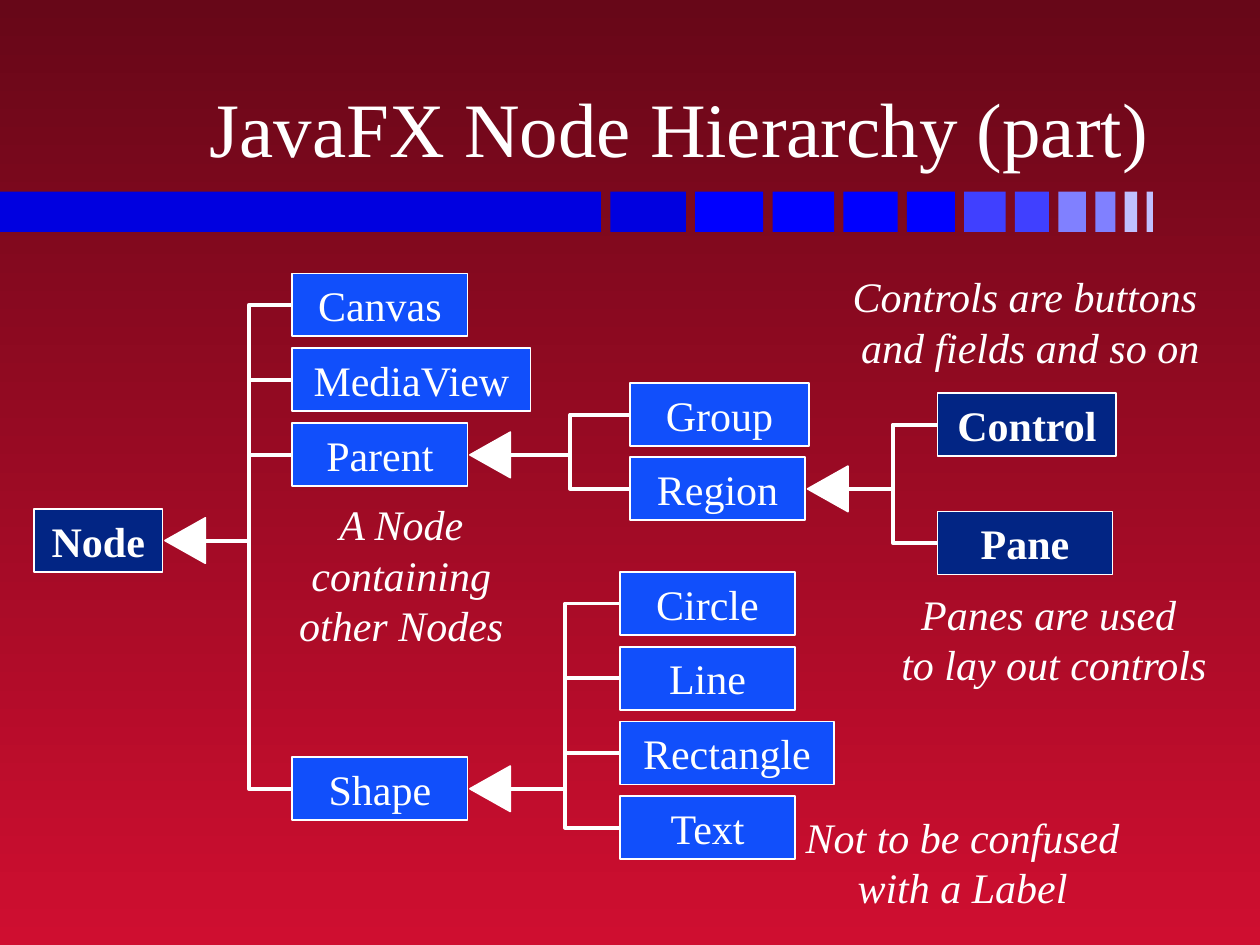
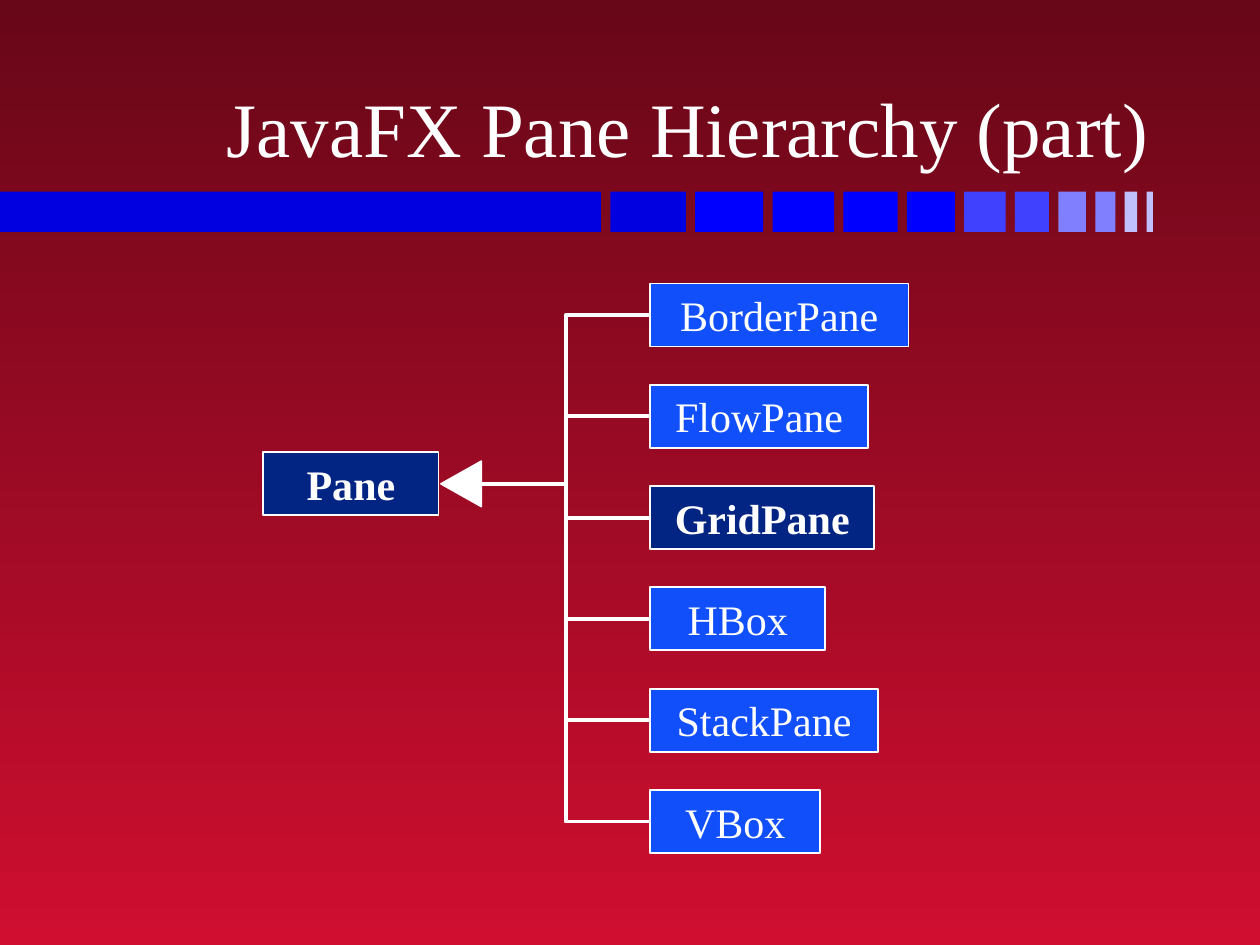
import pptx
import pptx.dml.color
import pptx.enum.dml
import pptx.enum.shapes
import pptx.enum.text
import pptx.oxml
import pptx.util
from pptx.util import Inches

FONT = "Times New Roman"
WHITE, BLUE, NAVY = "FFFFFF", "114FFB", "022584"
BACKGROUND = ("670718", "CF0E30")
BAND_TOP, BAND_HEIGHT, BAND_RIGHT = 1.52, 0.32, 9.15
BAND = [
    (4.77, "0000E0"), (0.6, "0000E0"), (0.54, "0000FF"), (0.49, "0000FF"),
    (0.43, "0000FF"), (0.38, "0000FF"), (0.33, "4040FF"), (0.27, "4040FF"),
    (0.22, "8080FF"), (0.16, "8080FF"), (0.1, "C0C0FF"), (0.05, "C0C0FF"),
]
BOX_HEIGHT, BOX_WIDTH = 0.5, 1.39
ARROW_LENGTH, ARROW_WIDTH, ARROW_GAP = 0.32, 0.36, 0.02

SLIDES = [
    {
        "title": "JavaFX Node Hierarchy (part)",
        "highlighted": {"Node", "Control", "Pane"},
        "widths": {"Node": 1.02, "MediaView": 1.89, "Group": 1.42,
                   "Rectangle": 1.7, "Control": 1.42},
        "columns": [
            (0.27, 4.04, 0, ["Node"]),
            (2.32, 2.17, 0.595, ["Canvas", "MediaView", "Parent"]),
            (2.32, 6.01, 0, ["Shape"]),
            (5, 3.04, 0.59, ["Group", "Region"]),
            (7.44, 3.12, 0.94, ["Control", "Pane"]),
            (4.92, 4.54, 0.593, ["Circle", "Line", "Rectangle", "Text"]),
        ],
        "parents": {
            "Node": ["Canvas", "MediaView", "Parent", "Shape"],
            "Parent": ["Group", "Region"],
            "Region": ["Control", "Pane"],
            "Shape": ["Circle", "Line", "Rectangle", "Text"],
        },
        "notes": [
            (6.65, 2.1, 2.97, 0.9, False, ["Controls are buttons", " and fields and so on"]),
            (7.05, 4.62, 2.63, 0.9, False, ["Panes are used ", "to lay out controls"]),
            (2.16, 3.91, 2.05, 1.3, True, ["A Node containing other Nodes"]),
            (6.26, 6.39, 2.76, 0.9, True, ["Not to be confused with a Label"]),
        ],
    },
    {
        "title": "JavaFX Pane Hierarchy (part)",
        "highlighted": {"Pane", "GridPane"},
        "widths": {"BorderPane": 2.05, "FlowPane": 1.73, "GridPane": 1.78,
                   "StackPane": 1.81, "VBox": 1.35},
        "columns": [
            (2.09, 3.59, 0, ["Pane"]),
            (5.16, 2.25, 0.804,
             ["BorderPane", "FlowPane", "GridPane", "HBox", "StackPane", "VBox"]),
        ],
        "parents": {
            "Pane": ["BorderPane", "FlowPane", "GridPane", "HBox", "StackPane", "VBox"],
        },
        "notes": [],
    },
]


def color(value):
    return pptx.dml.color.RGBColor.from_string(value)


def add_filled(slide, kind, left, top, width, height, fill, outline=None):
    shape = slide.shapes.add_shape(
        kind, Inches(left), Inches(top), Inches(width), Inches(height))
    shape.shadow.inherit = False
    shape.fill.solid()
    shape.fill.fore_color.rgb = color(fill)
    if outline:
        shape.line.color.rgb = color(outline)
        shape.line.width = pptx.util.Pt(1)
    else:
        shape.line.fill.background()
    return shape


def write(shape, lines, size=24, bold=False, italic=False, wrap=True,
          align=pptx.enum.text.PP_ALIGN.CENTER,
          anchor=pptx.enum.text.MSO_ANCHOR.TOP,
          fit=pptx.enum.text.MSO_AUTO_SIZE.SHAPE_TO_FIT_TEXT):
    frame = shape.text_frame
    frame.word_wrap = wrap
    frame.auto_size = fit
    frame.vertical_anchor = anchor
    for index, line in enumerate(lines):
        paragraph = frame.add_paragraph() if index else frame.paragraphs[0]
        paragraph.alignment = align
        run = paragraph.add_run()
        run.text = line
        run.font.name = FONT
        run.font.size = pptx.util.Pt(size)
        run.font.bold = bold
        run.font.italic = italic
        run.font.color.rgb = color(WHITE)


def style_master(master, slide):
    fill = master.background.fill
    fill.gradient()
    fill.gradient_angle = 270
    for position, (stop, value) in enumerate(zip(fill.gradient_stops, BACKGROUND)):
        stop.position = position
        stop.color.rgb = color(value)
    gap = (BAND_RIGHT - sum(width for width, _ in BAND)) / (len(BAND) - 1)
    left = 0
    for index, (width, value) in enumerate(BAND):
        block = add_filled(slide, pptx.enum.shapes.MSO_SHAPE.RECTANGLE,
                           left, BAND_TOP, width, BAND_HEIGHT, value)
        block.element.nvSpPr.cNvPr.set("id", str(100 + index))
        master.shapes.element.append(block.element)
        left += width + gap


def add_title(slide, text):
    title = slide.shapes.title
    title.left, title.top = Inches(0.74), Inches(0.19)
    title.width, title.height = Inches(8.48), Inches(1.23)
    write(title, [text], size=44, align=pptx.enum.text.PP_ALIGN.RIGHT,
          anchor=pptx.enum.text.MSO_ANCHOR.BOTTOM,
          fit=pptx.enum.text.MSO_AUTO_SIZE.NONE)


def place_boxes(content):
    return {
        name: (left, top + row * pitch, content["widths"].get(name, BOX_WIDTH))
        for left, top, pitch, names in content["columns"]
        for row, name in enumerate(names)
    }


def add_branch(slide, parent, children):
    left, top, width = parent
    tip = left + width + ARROW_GAP
    middle = top + BOX_HEIGHT / 2
    for child_left, child_top, _ in children:
        connector = slide.shapes.add_connector(
            pptx.enum.shapes.MSO_CONNECTOR.ELBOW,
            Inches(child_left), Inches(child_top + BOX_HEIGHT / 2),
            Inches(tip + ARROW_LENGTH), Inches(middle))
        connector.line.color.rgb = color(WHITE)
        connector.line.width = pptx.util.Pt(2.25)
        connector.element.spPr.append(pptx.oxml.parse_xml(
            '<a:effectLst xmlns:a="http://schemas.openxmlformats.org/drawingml/2006/main"/>'))
    arrow = add_filled(slide, pptx.enum.shapes.MSO_SHAPE.ISOSCELES_TRIANGLE,
                       tip + (ARROW_LENGTH - ARROW_WIDTH) / 2, middle - ARROW_LENGTH / 2,
                       ARROW_WIDTH, ARROW_LENGTH, WHITE, WHITE)
    arrow.rotation = 270


def build_slide(slide, content):
    add_title(slide, content["title"])
    boxes = place_boxes(content)
    for parent, children in content["parents"].items():
        add_branch(slide, boxes[parent], [boxes[child] for child in children])
    for name, (left, top, width) in boxes.items():
        strong = name in content["highlighted"]
        box = add_filled(slide, pptx.enum.shapes.MSO_SHAPE.RECTANGLE,
                         left, top, width, BOX_HEIGHT, NAVY if strong else BLUE, WHITE)
        write(box, [name], bold=strong)
    for left, top, width, height, wrap, lines in content["notes"]:
        note = slide.shapes.add_textbox(
            Inches(left), Inches(top), Inches(width), Inches(height))
        write(note, lines, italic=True, wrap=wrap)


def main():
    presentation = pptx.Presentation()
    presentation.slide_width, presentation.slide_height = Inches(10), Inches(7.5)
    layout = presentation.slide_layouts.get_by_name("Title Only")
    slides = [presentation.slides.add_slide(layout) for _ in SLIDES]
    style_master(presentation.slide_master, slides[0])
    for slide, content in zip(slides, SLIDES):
        build_slide(slide, content)
    presentation.save("out.pptx")


if __name__ == "__main__":
    main()
